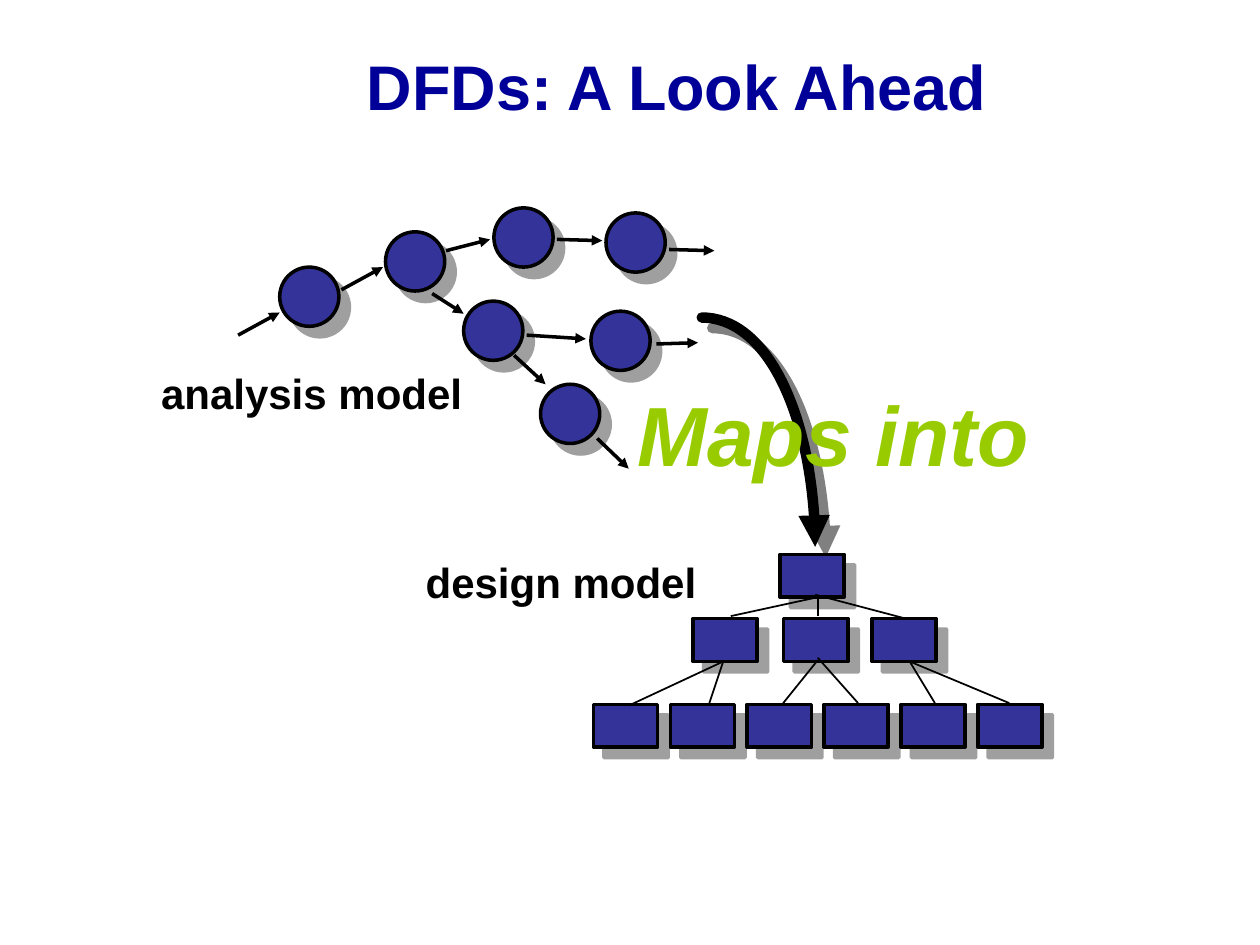
from pptx import Presentation
from pptx.dml.color import RGBColor
from pptx.enum import shapes as sh, text as tx
from pptx.oxml import parse_xml
from pptx.oxml.ns import nsdecls, qn
from pptx.util import Inches, Pt

BLACK = "000000"
NAVY = "333399"
CIRCLES = [(2.22, 2.12), (3.06, 1.84), (3.92, 1.65), (3.68, 2.39),
           (4.29, 3.05), (4.81, 1.69), (4.69, 2.47)]
FLOWS = [(1.89, 2.66, 2.22, 2.48), (2.71, 2.3, 3.04, 2.12),
         (3.54, 1.99, 3.89, 1.9), (4.42, 1.9, 4.78, 1.91),
         (5.31, 1.98, 5.67, 1.99), (3.43, 2.33, 3.68, 2.49),
         (4.08, 2.82, 4.33, 3.05), (4.74, 3.48, 4.99, 3.72),
         (5.21, 2.73, 5.54, 2.72), (4.18, 2.66, 4.65, 2.69)]
BOXES = [(6.19, 4.4), (5.5, 4.91), (6.22, 4.91), (6.92, 4.91)]
BOXES += [(4.71 + 0.61 * i, 5.59) for i in range(6)]
LINKS = [(6.49, 4.74, 5.8, 4.89), (6.49, 4.74, 6.49, 4.89),
         (6.47, 4.72, 7.19, 4.91), (5.74, 5.25, 4.99, 5.6),
         (5.74, 5.25, 5.63, 5.58), (6.49, 5.24, 6.2, 5.6),
         (6.49, 5.22, 6.81, 5.58), (7.22, 5.25, 7.42, 5.58),
         (7.22, 5.25, 8.01, 5.58)]


def color(code):
    return RGBColor.from_string(code)


def node(xml):
    head, rest = xml.split(" ", 1)
    return parse_xml(f"{head} {nsdecls('a')} {rest}")


def stroke(item, width, arrow=False):
    item.line.color.rgb = color(BLACK)
    item.line.width = Pt(width)
    if arrow:
        item.line._get_or_add_ln().append(node('<a:tailEnd type="triangle"/>'))


def shade(shape, alpha):
    shape.shadow.inherit = False
    effects = shape._element.spPr.find(qn("a:effectLst"))
    effects.append(node(
        f'<a:outerShdw dist="{Pt(8.5)}" dir="2700000" algn="ctr" rotWithShape="0">'
        f'<a:srgbClr val="808080"><a:alpha val="{alpha * 1000}"/></a:srgbClr>'
        '</a:outerShdw>'))


def add_node(slide, kind, left, top, width, height):
    shape = slide.shapes.add_shape(
        kind, Inches(left), Inches(top), Inches(width), Inches(height))
    shape.fill.solid()
    shape.fill.fore_color.rgb = color(NAVY)
    stroke(shape, 2)
    shade(shape, 75)


def add_line(slide, ends, width, arrow=False):
    line = slide.shapes.add_connector(
        sh.MSO_CONNECTOR.STRAIGHT, *[Inches(v) for v in ends])
    stroke(line, width, arrow)
    line._element.spPr.append(node("<a:effectLst />"))


def add_curve(slide, left, top, width, height):
    wide, high = Inches(width), Inches(height)
    pen = slide.shapes.build_freeform(Inches(left), Inches(top))
    pen.add_line_segments([(Inches(left) + wide, Inches(top) + high)], close=False)
    curve = pen.convert_to_shape()
    old = next(curve._element.iter(qn("a:lnTo")))
    bend = [(int(wide * 0.55), 0), (wide, int(high * 0.45)), (wide, high)]
    points = "".join(f'<a:pt x="{x}" y="{y}"/>' for x, y in bend)
    old.getparent().replace(old, node(f"<a:cubicBezTo >{points}</a:cubicBezTo>"))
    curve.fill.background()
    stroke(curve, 6, True)
    curve.line._get_or_add_ln().set("cap", "rnd")
    shade(curve, 100)


def add_text(slide, words, at, size, code, italic=False, title=False):
    box = slide.shapes.add_textbox(*[Inches(v) for v in at])
    frame = box.text_frame
    frame.word_wrap = title
    para = frame.paragraphs[0]
    para.text = words
    if title:
        frame.vertical_anchor = tx.MSO_ANCHOR.MIDDLE
        para.alignment = tx.PP_ALIGN.CENTER
    else:
        frame.auto_size = tx.MSO_AUTO_SIZE.SHAPE_TO_FIT_TEXT
    font = para.font
    font.name = "Arial"
    font.size = Pt(size)
    font.bold = True
    font.italic = italic
    font.color.rgb = color(code)


def main():
    deck = Presentation()
    deck.slide_width, deck.slide_height = Inches(10), Inches(7.5)
    slide = deck.slides.add_slide(deck.slide_layouts[6])
    add_curve(slide, 5.57, 2.52, 0.9, 1.82)
    add_text(slide, "Maps into", (4.96, 2.99, 3.31, 0.9), 48, "99CC00", italic=True)
    add_text(slide, "DFDs: A Look Ahead", (1.52, 0.21, 7.7, 0.93), 36, "000099",
             title=True)
    for left, top in CIRCLES:
        add_node(slide, sh.MSO_SHAPE.OVAL, left, top, 0.47, 0.47)
    for ends in FLOWS:
        add_line(slide, ends, 2, True)
    for left, top in BOXES:
        add_node(slide, sh.MSO_SHAPE.RECTANGLE, left, top, 0.51, 0.34)
    add_text(slide, "analysis model", (1.18, 2.87, 2.59, 0.5), 24, BLACK)
    add_text(slide, "design model", (3.28, 4.37, 2.35, 0.5), 24, BLACK)
    for ends in LINKS:
        add_line(slide, ends, 1)
    deck.save("out.pptx")


if __name__ == "__main__":
    main()
